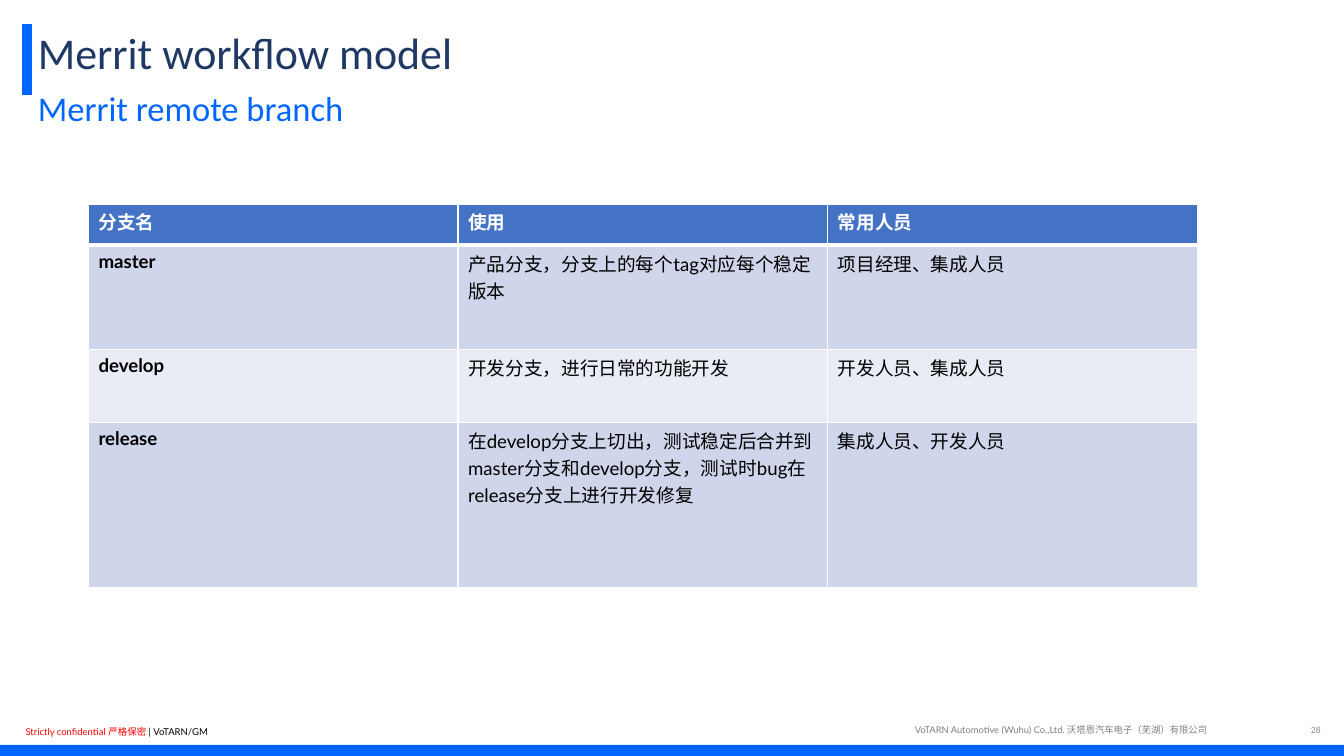
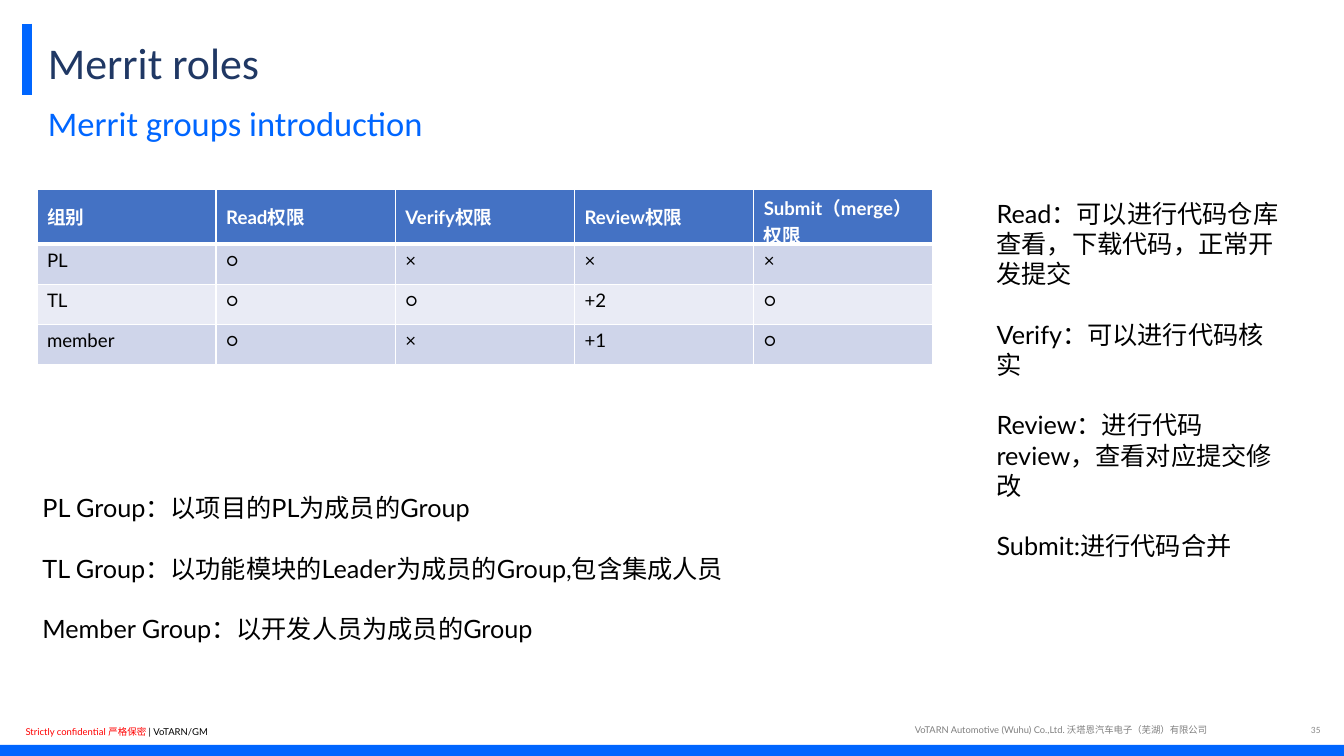
from lxml import etree
from pptx import Presentation
from pptx.dml.color import RGBColor
from pptx.enum.shapes import MSO_CONNECTOR, MSO_SHAPE
from pptx.enum.text import MSO_ANCHOR, PP_ALIGN
from pptx.oxml.ns import qn
from pptx.util import Inches, Pt

LINE, RECT = MSO_CONNECTOR.STRAIGHT, MSO_SHAPE.RECTANGLE
TOP, MIDDLE = MSO_ANCHOR.TOP, MSO_ANCHOR.MIDDLE
LEFT, RIGHT = PP_ALIGN.LEFT, PP_ALIGN.RIGHT


class Theme:
    blue, head, odd, even, white = "0066FF", "4472C4", "CFD5EA", "E9EBF5", "FFFFFF"
    # Each style: font name, size, colour
    title = ("Calibri", 28.2, "203864")
    sub = ("Calibri", 22.2, blue)
    body = ("Lato", 16.2, "000000")
    cell = ("Lato", 12, "000000")
    label = ("Lato", 12, white)
    alert = ("Lato", 6.1, "FF0000")
    team = ("Lato", 6.1, "000000")
    firm = ("Lato", 6, "808080")
    page = ("Calibri", 6.1, "8C8C8C")


def rgb(code):
    return RGBColor.from_string(code)


def assign(item, values):
    for name, value in values.items():
        setattr(item, name, value)


def add_run(para, text, style, bold=False):
    run = para.add_run()
    run.text = text
    name, size, color = style
    assign(run.font, {"name": name, "size": Pt(size), "bold": bold})
    run.font.color.rgb = rgb(color)


def add_text(slide, box, paras, gap=0, align=LEFT, **frame):
    """Each paragraph is a list of (text, style) runs; gap is in points."""
    text = slide.shapes.add_textbox(*map(Inches, box)).text_frame
    assign(text, {"word_wrap": True, **frame})
    for i, runs in enumerate(paras):
        para = text.add_paragraph() if i else text.paragraphs[0]
        assign(para, {"alignment": align, "space_before": Pt(gap if i else 0)})
        for words, style in runs:
            add_run(para, words, style)


def add_band(slide, box):
    band = slide.shapes.add_shape(RECT, *map(Inches, box))
    band.shadow.inherit = False
    band.fill.solid()
    band.fill.fore_color.rgb = rgb(Theme.blue)
    band.line.fill.background()


def add_bar(slide, x, top, end):
    bar = slide.shapes.add_connector(LINE, *map(Inches, (x, top, x, end)))
    bar.line.width = Pt(6)
    bar.line.color.rgb = rgb(Theme.blue)
    etree.SubElement(bar._element.spPr, qn("a:effectLst"))


def add_frame(slide, page):
    """Place the bar, the footer and the band that every slide has."""
    add_band(slide, (0, 6.65, 12, 0.1))
    add_text(slide, (0.13, 6.43, 2.64, 0.2),
             [[("Strictly confidential 严格保密 ", Theme.alert),
               ("| VoTARN/GM", Theme.team)]])
    add_text(slide, (8.07, 6.42, 3.7, 0.2),
             [[("VoTARN Automotive (Wuhu) Co.,Ltd. 沃塔恩汽车电子（芜湖）有限公司",
                Theme.firm)]])
    add_bar(slide, 0.24, 0.21, 0.85)
    add_text(slide, (11.33, 6.45, 0.56, 0.14), [[(str(page), Theme.page)]],
             align=RIGHT, vertical_anchor=MIDDLE)


def add_heads(slide, left, title, sub):
    """Title and subtitle are (top, text) pairs on one left edge."""
    for (top, text), style, width, height in (
            (title, Theme.title, 9.6, 0.64), (sub, Theme.sub, 6, 0.47)):
        add_text(slide, (left, top, width, height), [[(text, style)]])


def add_edges(cell, row):
    """Draw white cell borders, thicker under the header row."""
    props = cell._tc.get_or_add_tcPr()
    for i, side in enumerate("LRTB"):
        thick = (row, side) in ((0, "B"), (1, "T"))
        edge = etree.Element(qn(f"a:ln{side}"), w=str(Pt(3 if thick else 1)))
        fill = etree.SubElement(edge, qn("a:solidFill"))
        etree.SubElement(fill, qn("a:srgbClr"), val=Theme.white)
        props.insert(i, edge)


def add_grid(slide, box, heights, rows, lead=False, anchor=TOP):
    """Lead makes the first column bold; anchor is for the header row."""
    left, top, width = box
    count = len(rows[0])
    grid = slide.shapes.add_table(
        len(rows), count,
        *map(Inches, (left, top, width, sum(heights)))).table
    for col in grid.columns:
        col.width = Inches(width / count)
    for r, (height, texts) in enumerate(zip(heights, rows)):
        grid.rows[r].height = Inches(height)
        fill = Theme.head if r == 0 else Theme.odd if r % 2 else Theme.even
        for c, text in enumerate(texts):
            cell = grid.cell(r, c)
            assign(cell, {"margin_left": Inches(0.09), "margin_right": Inches(0.09),
                          "margin_top": Inches(0.04), "margin_bottom": Inches(0.04),
                          "vertical_anchor": TOP if r else anchor})
            cell.fill.solid()
            cell.fill.fore_color.rgb = rgb(fill)
            add_edges(cell, r)
            add_run(cell.text_frame.paragraphs[0], text,
                    Theme.cell if r else Theme.label,
                    bold=r == 0 or (lead and c == 0))


def add_notes(slide, box, lines, inset=0.05):
    add_text(slide, box, [[(line, Theme.body)] for line in lines],
             gap=19.4, margin_top=Inches(inset))


def add_branch(slide):
    add_frame(slide, 28)
    add_grid(slide, (0.79, 1.82, 9.9), (0.37, 0.93, 0.65, 1.48), (
        ("分支名", "使用", "常用人员"),
        ("master", "产品分支，分支上的每个tag对应每个稳定版本", "项目经理、集成人员"),
        ("develop", "开发分支，进行日常的功能开发", "开发人员、集成人员"),
        ("release", "在develop分支上切出，测试稳定后合并到master分支和develop分支，"
                    "测试时bug在release分支上进行开发修复", "集成人员、开发人员"),
    ), lead=True)
    add_heads(slide, 0.24, (0.18, "Merrit workflow model"),
              (0.73, "Merrit remote branch"))


def add_roles(slide):
    add_frame(slide, 35)
    add_grid(slide, (0.33, 1.69, 8), (0.49, 0.36, 0.36, 0.36), (
        ("组别", "Read权限", "Verify权限", "Review权限", "Submit（merge）权限"),
        ("PL", "○", "×", "×", "×"),
        ("TL", "○", "○", "+2", "○"),
        ("member", "○", "×", "+1", "○"),
    ), anchor=MIDDLE)
    add_notes(slide, (0.28, 4.05, 10.98, 2.04), (
        "PL Group：以项目的PL为成员的Group",
        "TL Group：以功能模块的Leader为成员的Group,包含集成人员",
        "Member Group：以开发人员为成员的Group",
    ), inset=0.35)
    add_notes(slide, (8.8, 1.72, 2.74, 3.1), (
        "Read：可以进行代码仓库查看，下载代码，正常开发提交",
        "Verify：可以进行代码核实",
        "Review：进行代码review，查看对应提交修改",
        "Submit:进行代码合并",
    ))
    add_heads(slide, 0.33, (0.27, "Merrit roles"),
              (0.86, "Merrit groups introduction"))


def main():
    deck = Presentation()
    assign(deck, {"slide_width": Inches(12), "slide_height": Inches(6.75)})
    for build in (add_branch, add_roles):
        build(deck.slides.add_slide(deck.slide_layouts[6]))
    deck.save("out.pptx")


if __name__ == "__main__":
    main()
